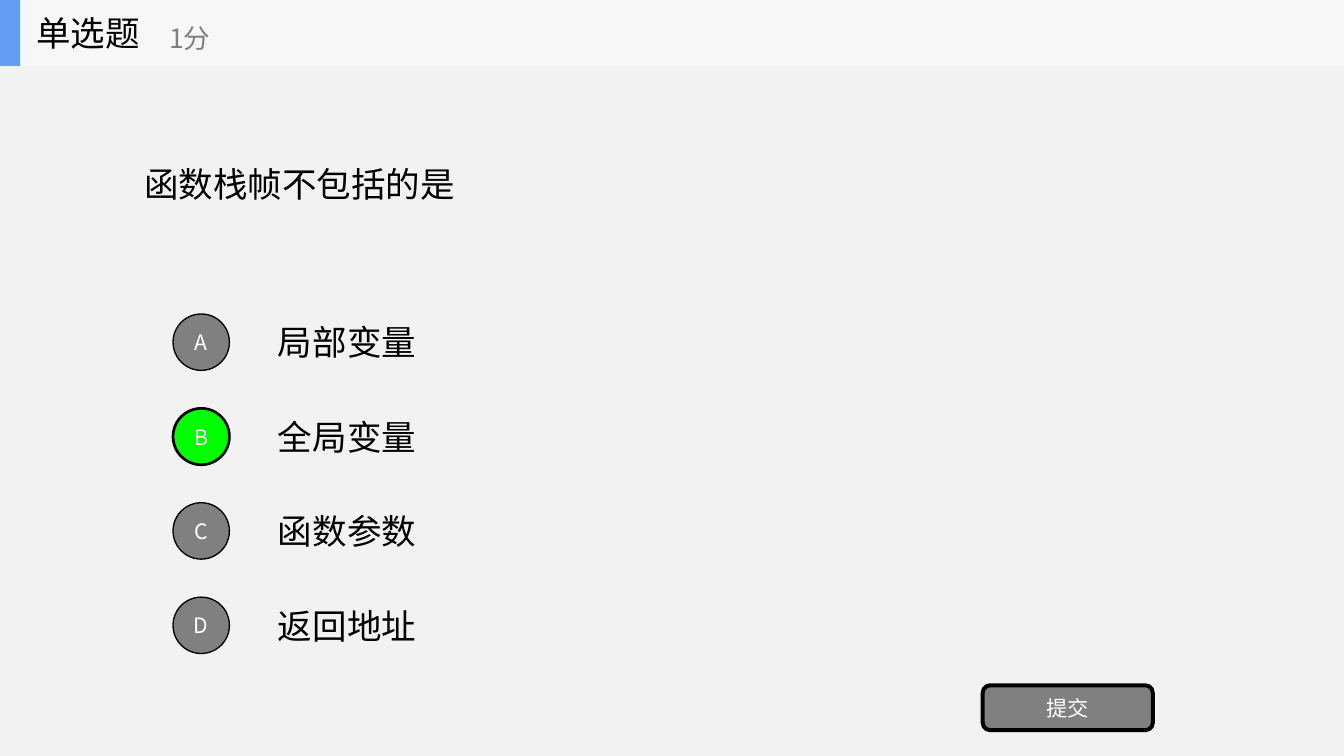
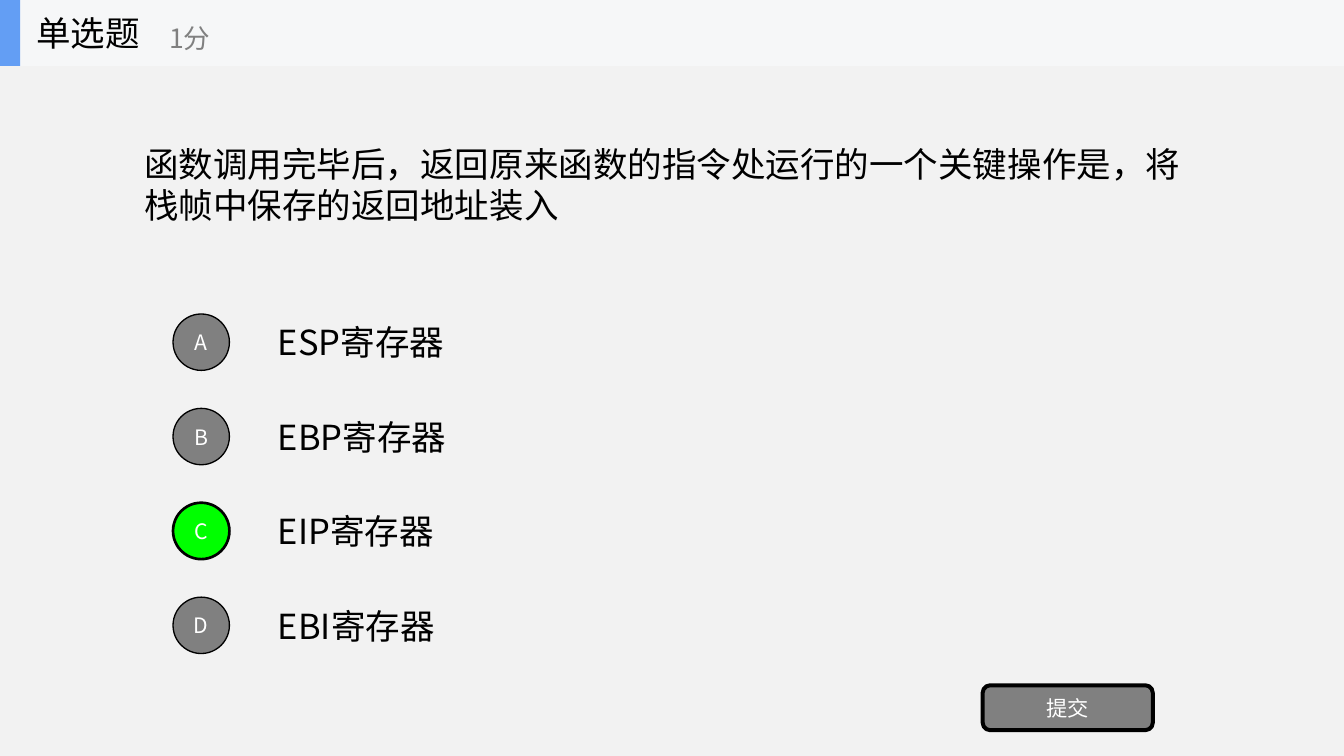
from dataclasses import dataclass

from lxml.etree import SubElement
from pptx import Presentation
from pptx.dml.color import RGBColor
from pptx.enum.shapes import MSO_SHAPE
from pptx.enum.text import MSO_ANCHOR, PP_ALIGN
from pptx.oxml.ns import qn
from pptx.util import Inches, Pt


@dataclass(frozen=True)
class Theme:
    font: str = "Noto Sans CJK SC"
    background: str = "F2F2F2"
    band: str = "F6F7F8"
    accent: str = "639EF4"
    text: str = "000000"
    muted: str = "808080"
    correct: str = "00FF00"
    light: str = "FFFFFF"
    body_size: int = 26
    score_size: int = 20
    button_size: int = 16


THEME = Theme()
SLIDE_WIDTH, SLIDE_HEIGHT = 14.06, 7.91
HEADER_BOX = (0, 0, SLIDE_WIDTH, 0.69)
QUESTION_BOX = (1.41, 0.69, 11.25, 2.47)
OPTIONS_BOX = (1.81, 3.21, 10.84, 3.95)
SUBMIT_BOX = (10.28, 7.17, 1.78, 0.47)

QUESTIONS = [
    ("函数栈帧不包括的是",
     ["局部变量", "全局变量", "函数参数", "返回地址"], "B"),
    ("函数调用完毕后，返回原来函数的指令处运行的一个关键操作是，将栈帧中保存的返回地址装入",
     ["ESP寄存器", "EBP寄存器", "EIP寄存器", "EBI寄存器"], "C"),
]


def write(shape, text, size, color, alignment=PP_ALIGN.LEFT):
    frame = shape.text_frame
    frame.word_wrap = True
    frame.vertical_anchor = MSO_ANCHOR.MIDDLE
    paragraph = frame.paragraphs[0]
    paragraph.alignment = alignment
    run = paragraph.add_run()
    run.text = text
    run.font.size = Pt(size)
    run.font.color.rgb = RGBColor.from_string(color)
    run.font.name = THEME.font
    # Chinese characters take their font from the East Asian setting
    SubElement(run.font._element, qn("a:ea")).set("typeface", THEME.font)


def add_text(shapes, box, text, size=THEME.body_size, color=THEME.text):
    write(shapes.add_textbox(*map(Inches, box)), text, size, color)


def add_block(shapes, kind, box, fill, line_width=0):
    shape = shapes.add_shape(kind, *map(Inches, box))
    shape.shadow.inherit = False
    shape.fill.solid()
    shape.fill.fore_color.rgb = RGBColor.from_string(fill)
    if line_width:
        shape.line.color.rgb = RGBColor.from_string(THEME.text)
        shape.line.width = Pt(line_width)
    else:
        shape.line.fill.background()
    return shape


def add_button(shapes, kind, box, label, fill, line_width):
    button = add_block(shapes, kind, box, fill, line_width)
    frame = button.text_frame
    frame.margin_left = frame.margin_right = 0
    frame.margin_top = frame.margin_bottom = 0
    write(button, label, THEME.button_size, THEME.light, PP_ALIGN.CENTER)


def add_header(slide, box):
    left, top, width, height = box
    shapes = slide.shapes.add_group_shape().shapes
    add_block(shapes, MSO_SHAPE.RECTANGLE, box, THEME.band)
    add_block(shapes, MSO_SHAPE.RECTANGLE, (left, top, 0.21, height), THEME.accent)
    add_text(shapes, (left + 0.28, top, 2.08, height), "单选题")
    add_text(shapes, (left + 1.67, top + 0.12, 2.5, 0.56), "1分",
             THEME.score_size, THEME.muted)


def add_options(slide, box, options, answer):
    left, top, width, height = box
    pitch = height / len(options)
    text_height, circle, indent = 0.74, 0.59, 1
    for index, (letter, option) in enumerate(zip("ABCD", options)):
        row_top = top + index * pitch
        add_text(slide.shapes,
                 (left + indent, row_top, width - indent, text_height), option)
        chosen = letter == answer
        circle_top = row_top + (text_height - circle) / 2
        add_button(slide.shapes, MSO_SHAPE.OVAL, (left, circle_top, circle, circle),
                   letter, THEME.correct if chosen else THEME.muted,
                   2 if chosen else 1)


def add_question_slide(presentation, question, options, answer):
    slide = presentation.slides.add_slide(presentation.slide_layouts[6])
    slide.background.fill.solid()
    slide.background.fill.fore_color.rgb = RGBColor.from_string(THEME.background)
    add_text(slide.shapes, QUESTION_BOX, question)
    add_options(slide, OPTIONS_BOX, options, answer)
    add_button(slide.shapes, MSO_SHAPE.ROUNDED_RECTANGLE, SUBMIT_BOX,
               "提交", THEME.muted, 3)
    add_header(slide, HEADER_BOX)


def main():
    presentation = Presentation()
    presentation.slide_width = Inches(SLIDE_WIDTH)
    presentation.slide_height = Inches(SLIDE_HEIGHT)
    for question, options, answer in QUESTIONS:
        add_question_slide(presentation, question, options, answer)
    presentation.save("out.pptx")


if __name__ == "__main__":
    main()
